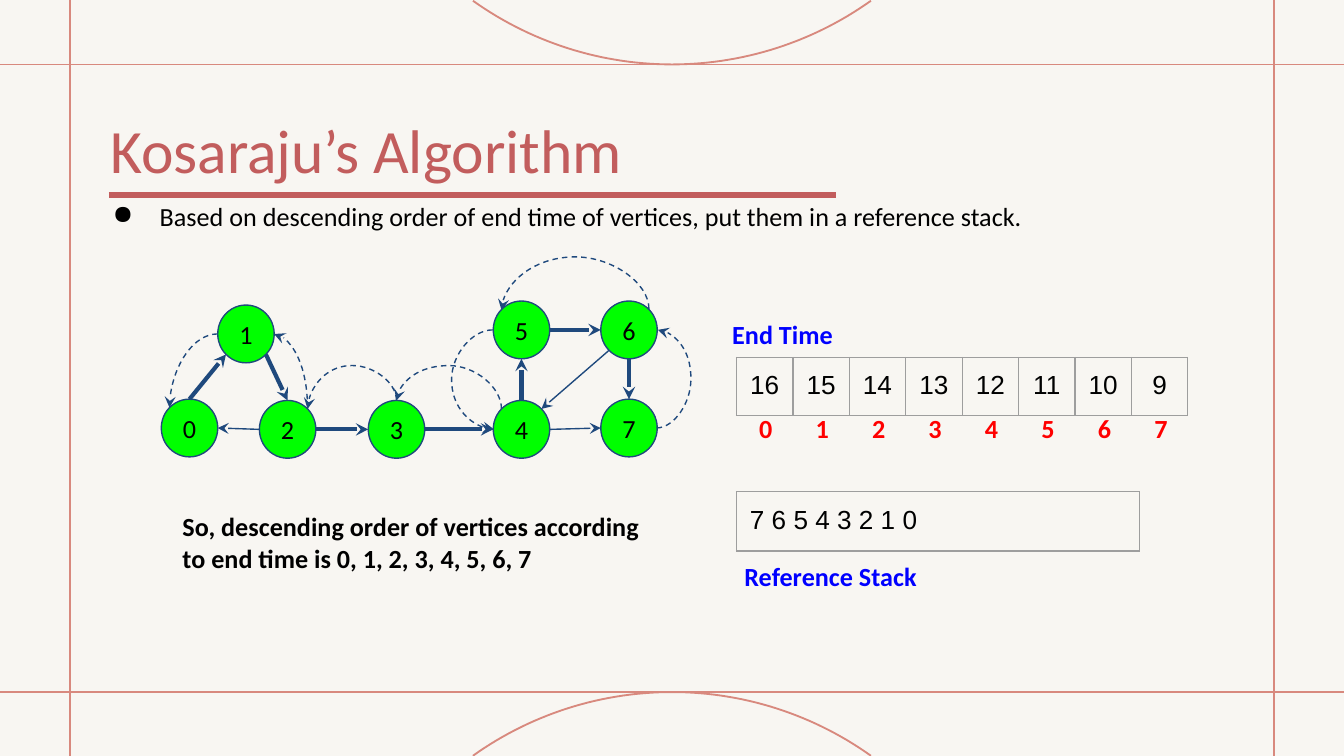
import math

from lxml import etree
from pptx import Presentation
from pptx.dml.color import RGBColor
from pptx.enum.dml import MSO_LINE
from pptx.enum.shapes import MSO_CONNECTOR, MSO_SHAPE
from pptx.enum.text import MSO_ANCHOR, PP_ALIGN
from pptx.oxml.ns import qn
from pptx.util import Inches, Pt

COLUMNS, ROWS = 100, 56.25  # grid of square cells, a tenth of an inch each
STRAIGHT, CURVE = MSO_CONNECTOR.STRAIGHT, MSO_CONNECTOR.CURVE
ELLIPSE = MSO_SHAPE.OVAL
DASH = MSO_LINE.DASH
LEFT_ALIGN, CENTER = PP_ALIGN.LEFT, PP_ALIGN.CENTER
TOP_ANCHOR, MIDDLE = MSO_ANCHOR.TOP, MSO_ANCHOR.MIDDLE

COLORS = {
    "background": "F8F6F2", "frame": "D8897E", "title": "C25D5D",
    "vertex": "00FF00", "edge": "1F497D", "border": "9E9E9E",
    "text": "000000", "label": "0000FF", "index": "FF0000",
}

# Connection sites of a circle, counterclockwise from the top
TOP, TOP_LEFT, LEFT, BOTTOM_LEFT, BOTTOM, BOTTOM_RIGHT, RIGHT, TOP_RIGHT = range(8)

VERTEX_WIDTH, VERTEX_HEIGHT = 4.2, 4.3
VERTICES = {
    0: (12, 29.7), 1: (16.2, 22.7), 2: (19.3, 29.8), 3: (27.4, 29.8),
    4: (36.7, 29.8), 5: (36.7, 22.4), 6: (44.7, 22.4), 7: (44.7, 29.7),
}
THICK, THIN = 2.25, 0.75
EDGES = [
    (0, TOP, 1, BOTTOM_LEFT, THICK), (1, BOTTOM_RIGHT, 2, TOP, THICK),
    (2, LEFT, 0, RIGHT, THIN), (2, RIGHT, 3, LEFT, THICK),
    (3, RIGHT, 4, LEFT, THICK), (4, TOP, 5, BOTTOM, THICK),
    (5, RIGHT, 6, LEFT, THICK), (6, BOTTOM, 7, TOP, THICK),
    (6, BOTTOM_LEFT, 4, TOP_RIGHT, THIN), (4, RIGHT, 7, LEFT, THIN),
]
# Start, end, whether the curve leaves vertically, and where it turns back
BACKTRACKS = [
    (7, RIGHT, 6, RIGHT, False, 51.5), (6, TOP_RIGHT, 5, TOP_LEFT, True, 19.1),
    (5, LEFT, 4, LEFT, False, 33.6), (4, TOP_LEFT, 3, TOP, True, 27.2),
    (3, TOP, 2, TOP_RIGHT, True, 27.2), (2, TOP_RIGHT, 1, RIGHT, True, None),
    (1, LEFT, 0, TOP_LEFT, False, None),
]
END_TIMES = [16, 15, 14, 13, 12, 11, 10, 9]
TABLE_LEFT, CELL_WIDTH = 54.8, 4.2


def grid(cells):
    return Inches(cells / 10)


def color(name):
    return RGBColor.from_string(COLORS[name])


def write_text(frame, text, *, size=14, font="Calibri", tint="text", bold=False,
               align=LEFT_ALIGN):
    paragraph = frame.paragraphs[0]
    paragraph.alignment = align
    run = paragraph.add_run()
    run.text = text
    run.font.size, run.font.name, run.font.bold = Pt(size), font, bold
    run.font.color.rgb = color(tint)
    return paragraph


def site(vertex, index):
    """Return the grid position of a connection site on a vertex."""
    left, top = VERTICES[vertex]
    angle = math.radians(90 + 45 * index)
    return (left + VERTEX_WIDTH / 2 * (1 + math.cos(angle)),
            top + VERTEX_HEIGHT / 2 * (1 - math.sin(angle)))


class Board:
    def __init__(self, slide):
        self.slide = slide
        slide.background.fill.solid()
        slide.background.fill.fore_color.rgb = color("background")

    def text(self, left, top, width, height, text, inset=1, **style):
        shape = self.slide.shapes.add_textbox(*map(grid, (left, top, width, height)))
        frame = shape.text_frame
        frame.word_wrap = True
        frame.vertical_anchor = TOP_ANCHOR
        frame.margin_left = frame.margin_right = grid(inset)
        frame.margin_top = frame.margin_bottom = grid(inset)
        return write_text(frame, text, **style)

    def line(self, start, end, tint, width, kind=STRAIGHT, dash=None, arrow=False):
        connector = self.slide.shapes.add_connector(kind, *map(grid, (*start, *end)))
        connector.line.color.rgb = color(tint)
        connector.line.width = Pt(width)
        if dash:
            connector.line.dash_style = dash
        properties = connector._element.spPr
        if arrow:
            etree.SubElement(properties.find(qn("a:ln")), qn("a:tailEnd"), type="stealth")
        etree.SubElement(properties, qn("a:effectLst"))
        return connector

    def curve(self, start, end, vertical, turn):
        """Draw a dashed curved arrow; without a turn it is a quarter bend."""
        connector = self.line(start, end, "edge", THIN, CURVE, DASH, True)
        along, across = end[0] - start[0], end[1] - start[1]
        rotation = 0
        if vertical:
            along, across, rotation = across, -along, 90
        flip_along, flip_across = along < -0.001, across < -0.001
        width, height = max(abs(along), 0.1), abs(across)
        connector.left = grid((start[0] + end[0] - width) / 2)
        connector.top = grid((start[1] + end[1] - height) / 2)
        connector.width, connector.height = grid(width), grid(height)

        transform = connector._element.spPr.find(qn("a:xfrm"))
        for name in ("flipH", "flipV"):
            transform.attrib.pop(name, None)
        if flip_along and flip_across:
            rotation += 180
        elif flip_along:
            transform.set("flipH", "1")
        elif flip_across:
            transform.set("flipV", "1")
        transform.set("rot", str(rotation * 60000))

        geometry = connector._element.spPr.find(qn("a:prstGeom"))
        if turn is None:
            geometry.set("prst", "curvedConnector2")
            return
        offset = (turn - start[vertical]) * (-1 if flip_along else 1)
        adjustments = geometry.find(qn("a:avLst"))
        etree.SubElement(adjustments, qn("a:gd"), name="adj1",
                         fmla=f"val {round(offset / width * 100000)}")

    def arc(self, peak, direction, radius=25.5, half_angle=35.5, steps=60):
        """Draw a centred arc that bends away from its peak row."""
        points = []
        for step in range(steps + 1):
            angle = math.radians(half_angle * (2 * step / steps - 1))
            points.append((grid(COLUMNS / 2 + radius * math.sin(angle)),
                           grid(peak + direction * radius * (1 - math.cos(angle)))))
        builder = self.slide.shapes.build_freeform(*points[0])
        builder.add_line_segments(points[1:], close=False)
        shape = builder.convert_to_shape()
        shape.shadow.inherit = False
        shape.fill.background()
        shape.line.color.rgb = color("frame")
        shape.line.width = Pt(1)

    def vertex(self, left, top, text):
        shape = self.slide.shapes.add_shape(
            ELLIPSE, *map(grid, (left, top, VERTEX_WIDTH, VERTEX_HEIGHT)))
        shape.shadow.inherit = False
        shape.fill.solid()
        shape.fill.fore_color.rgb = color("vertex")
        shape.line.color.rgb = color("edge")
        shape.line.width = Pt(THIN)
        shape.text_frame.vertical_anchor = MIDDLE
        write_text(shape.text_frame, text, align=CENTER)

    def table(self, top, width, height, values, align):
        """Draw a one-row table with thin borders."""
        table = self.slide.shapes.add_table(
            1, len(values), *map(grid, (TABLE_LEFT, top, width * len(values), height))).table
        table.first_row = table.horz_banding = False
        for column, cell, value in zip(table.columns, table.rows[0].cells, values):
            column.width = grid(width)
            cell.margin_left = cell.margin_right = grid(1)
            cell.margin_top = cell.margin_bottom = grid(1)
            properties = cell._tc.get_or_add_tcPr()
            for side in ("lnL", "lnR", "lnT", "lnB"):
                border = etree.SubElement(properties, qn(f"a:{side}"), w=str(Pt(0.75)))
                fill = etree.SubElement(border, qn("a:solidFill"))
                etree.SubElement(fill, qn("a:srgbClr"), val=COLORS["border"])
            cell.fill.background()
            write_text(cell.text_frame, str(value), font="Arial", align=align)


def main():
    presentation = Presentation()
    presentation.slide_width, presentation.slide_height = grid(COLUMNS), grid(ROWS)
    board = Board(presentation.slides.add_slide(presentation.slide_layouts[6]))

    for row in (51.5, 4.8):
        board.line((0, row), (COLUMNS, row), "frame", 1)
    for column in (94.8, 5.2):
        board.line((column, 0), (column, ROWS), "frame", 1)
    board.arc(4.8, -1)
    board.arc(51.5, 1)

    board.line((8.1, 14.5), (62.2, 14.5), "title", 3)
    board.text(8.2, 8.3, 46.2, 5.6, "Kosaraju’s Algorithm", inset=0, size=33, tint="title")
    bullet = board.text(5.9, 13.9, 88.1, 4.4, "Based on descending order of end time of "
                        "vertices, put them in a reference stack.")
    properties = bullet._p.get_or_add_pPr()
    properties.set("marL", str(Inches(0.5)))
    properties.set("indent", str(Inches(-0.35)))
    etree.SubElement(properties, qn("a:buChar"), char="●")

    for number, position in VERTICES.items():
        board.vertex(*position, str(number))
    for start, start_site, end, end_site, width in EDGES:
        board.line(site(start, start_site), site(end, end_site), "edge", width, arrow=True)
    for start, start_site, end, end_site, vertical, turn in BACKTRACKS:
        board.curve(site(start, start_site), site(end, end_site), vertical, turn)

    board.text(53.5, 22.7, 10, 4.4, "End Time", tint="label", bold=True)
    board.table(26.6, CELL_WIDTH, 4.3, END_TIMES, CENTER)
    indices = board.text(55.5, 29.7, 38, 4.4, "\t".join(map(str, VERTICES)),
                         tint="index", bold=True)
    tabs = etree.SubElement(indices._p.get_or_add_pPr(), qn("a:tabLst"))
    for number in range(1, len(VERTICES)):
        etree.SubElement(tabs, qn("a:tab"), pos=str(grid(CELL_WIDTH * number)), algn="l")

    board.text(12.6, 37, 36.6, 6.7, "So, descending order of vertices according to end "
               "time is 0, 1, 2, 3, 4, 5, 6, 7", bold=True)
    board.table(36.6, 30, 4.4, ["7 6 5 4 3 2 1 0"], LEFT_ALIGN)
    board.text(54.4, 40.7, 16.8, 5.8, "Reference Stack", tint="label", bold=True)
    presentation.save("out.pptx")


if __name__ == "__main__":
    main()
